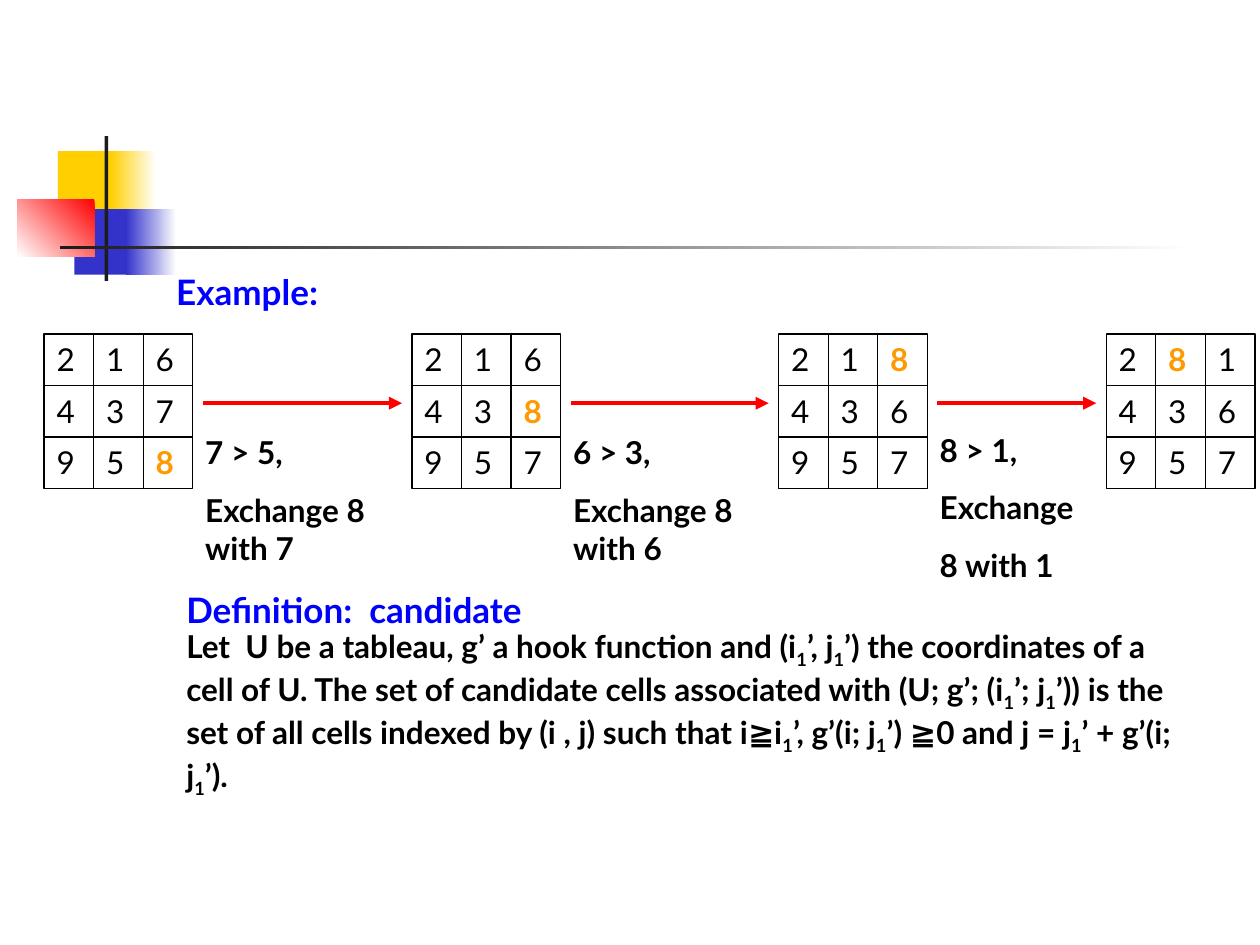
from dataclasses import dataclass
from itertools import pairwise

from lxml.etree import SubElement
from pptx import Presentation
from pptx.dml.color import RGBColor
from pptx.enum.shapes import MSO_CONNECTOR as Connector, MSO_SHAPE as Preset
from pptx.enum.text import MSO_ANCHOR as Anchor, MSO_AUTO_SIZE as AutoSize, PP_ALIGN as Align
from pptx.oxml.ns import qn
from pptx.util import Inches, Pt

COLUMNS, ROWS = 100, 75
SLIDE_WIDTH, SLIDE_HEIGHT = Inches(10), Inches(7.5)


@dataclass(frozen=True)
class Theme:
    font: str = "Lato"
    heading_size: float = 20
    body_size: float = 18
    paragraph_gap: float = 11.2
    cell_line: float = 0.75
    arrow_line: float = 2.5
    heading: str = "0000FF"
    text: str = "000000"
    highlight: str = "FF9900"
    arrow: str = "FF0000"
    yellow: str = "FFCF01"
    blue: str = "3333CC"
    red: str = "FF0000"
    dark: str = "1C1C1C"
    paper: str = "FFFFFF"


THEME = Theme()


@dataclass(frozen=True)
class Box:
    """An area in grid columns and rows."""
    left: float
    top: float
    width: float
    height: float

    @property
    def right(self):
        return self.left + self.width

    def inner(self, left, top, width, height):
        return Box(self.left + left, self.top + top, width, height)

    def lengths(self):
        return (across(self.left), down(self.top), across(self.width), down(self.height))


def across(columns):
    return round(SLIDE_WIDTH * columns / COLUMNS)


def down(rows):
    return round(SLIDE_HEIGHT * rows / ROWS)


def rgb(value):
    return RGBColor.from_string(value)


def style(paragraph, size, color, bold):
    font = paragraph.font
    font.name, font.size, font.bold = THEME.font, Pt(size), bold
    font.color.rgb = rgb(color)
    paragraph.alignment = Align.LEFT


def prepare_frame(shape):
    frame = shape.text_frame
    frame.word_wrap = True
    frame.auto_size = AutoSize.SHAPE_TO_FIT_TEXT
    frame.vertical_anchor = Anchor.TOP
    return frame


def add_text(slide, box, lines, size, color):
    """Each line is a list of pieces; every second piece is a subscript."""
    frame = prepare_frame(slide.shapes.add_textbox(*box.lengths()))
    for number, pieces in enumerate(lines):
        paragraph = frame.add_paragraph() if number else frame.paragraphs[0]
        if number:
            paragraph.space_before = Pt(THEME.paragraph_gap)
        style(paragraph, size, color, True)
        for index, piece in enumerate(pieces):
            run = paragraph.add_run()
            run.text = piece
            if index % 2:
                run._r.get_or_add_rPr().set("baseline", "-25000")


def add_block(slide, box, colors, angle=180):
    """A plain block for one colour, a gradient block for two."""
    shape = slide.shapes.add_shape(Preset.RECTANGLE, *box.lengths())
    shape.shadow.inherit = False
    shape.line.fill.background()
    if len(colors) == 1:
        shape.fill.solid()
        shape.fill.fore_color.rgb = rgb(colors[0])
        return
    shape.fill.gradient()
    shape.fill.gradient_angle = angle
    for stop, color, position in zip(shape.fill.gradient_stops, colors, (0, 1)):
        stop.color.rgb = rgb(color)
        stop.position = position


def add_ornament(slide, box):
    theme = THEME
    add_block(slide, box.inner(3.2, 1.2, 4.8, 5.2), [theme.yellow])
    add_block(slide, box.inner(7.4, 1.2, 3.6, 5.2), [theme.paper, theme.yellow])
    add_block(slide, box.inner(4.5, 5.8, 4.6, 5.2), [theme.blue])
    add_block(slide, box.inner(8.6, 5.8, 4, 5.2), [theme.paper, theme.blue])
    add_block(slide, box.inner(0, 5, 6.1, 4.6), [theme.red, theme.paper], 225)
    add_block(slide, box.inner(6.9, 0, 0.3, box.height), [theme.dark])
    add_block(slide, box.inner(3.4, 8.7, 90, 0.3), [theme.paper, theme.dark])


def add_tableau(slide, box, rows):
    """A grouped grid of cells in which the moving 8 is highlighted."""
    group = slide.shapes.add_group_shape()
    width, height = box.width / len(rows[0]), box.height / len(rows)
    for row, digits in enumerate(rows):
        for column, digit in enumerate(digits):
            cell_box = box.inner(column * width, row * height, width, height)
            cell = group.shapes.add_shape(Preset.RECTANGLE, *cell_box.lengths())
            cell.shadow.inherit = False
            cell.fill.background()
            cell.line.color.rgb = rgb(THEME.text)
            cell.line.width = Pt(THEME.cell_line)
            paragraph = prepare_frame(cell).paragraphs[0]
            moving = digit == "8"
            style(paragraph, THEME.body_size, THEME.highlight if moving else THEME.text, moving)
            paragraph.add_run().text = digit


def add_arrow(slide, start, end, row):
    arrow = slide.shapes.add_connector(
        Connector.STRAIGHT, across(start), down(row), across(end), down(row))
    arrow.line.color.rgb = rgb(THEME.arrow)
    arrow.line.width = Pt(THEME.arrow_line)
    SubElement(arrow.line._get_or_add_ln(), qn("a:tailEnd"), type="triangle")
    SubElement(arrow._element.spPr, qn("a:effectLst"))


def add_exchanges(slide, box):
    """Tableaux in a row, with an arrow and a caption between neighbours."""
    tableaux = [
        (0, ("216", "437", "958")),
        (29.2, ("216", "438", "957")),
        (58.3, ("218", "436", "957")),
        (84.3, ("281", "436", "957")),
    ]
    captions = [
        (7.4, 16.5, 11.6, ["7 > 5,", "Exchange 8 with 7"]),
        (7.4, 16.5, 11.6, ["6 > 3,", "Exchange 8 with 6"]),
        (7.2, 14.2, 13.2, ["8 > 1,", "Exchange", "8 with 1"]),
    ]
    places = [box.inner(left, 0, 11.8, box.height) for left, _ in tableaux]
    for place, (_, rows) in zip(places, tableaux):
        add_tableau(slide, place, rows)
    arrow_gap = 0.8
    for (before, after), (top, width, height, lines) in zip(pairwise(places), captions):
        add_arrow(slide, before.right + arrow_gap, after.left - arrow_gap, box.top + 5.5)
        add_text(slide, before.inner(before.width, top, width, height),
                 [[line] for line in lines], THEME.body_size, THEME.text)


def add_definition(slide, box):
    body = [
        "Let  U be a tableau, g’ a hook function and (i", "1", "’, j", "1",
        "’) the coordinates of a cell of U. The set of candidate cells associated with "
        "(U; g’; (i", "1", "’; j", "1",
        "’)) is the set of all cells indexed by (i , j) such that i≧i", "1",
        "’, g’(i; j", "1", "’) ≧0 and j = j", "1", "’ + g’(i; j", "1", "’).",
    ]
    add_text(slide, box.inner(0, 3.1, box.width, 14.3), [body], THEME.body_size, THEME.text)
    add_text(slide, box.inner(0, 0, 33.1, 4.4), [["Definition:  candidate"]],
             THEME.heading_size, THEME.heading)


def main():
    presentation = Presentation()
    presentation.slide_width, presentation.slide_height = SLIDE_WIDTH, SLIDE_HEIGHT
    slide = presentation.slides.add_slide(presentation.slide_layouts[6])
    add_ornament(slide, Box(1.4, 10.8, 93.4, 11.5))
    add_text(slide, Box(13, 21, 17.3, 4.4), [["Example:"]], THEME.heading_size, THEME.heading)
    add_exchanges(slide, Box(3.5, 26.5, 96.1, 12.3))
    add_definition(slide, Box(13.8, 46.2, 81.1, 17.4))
    presentation.save("out.pptx")


if __name__ == "__main__":
    main()
